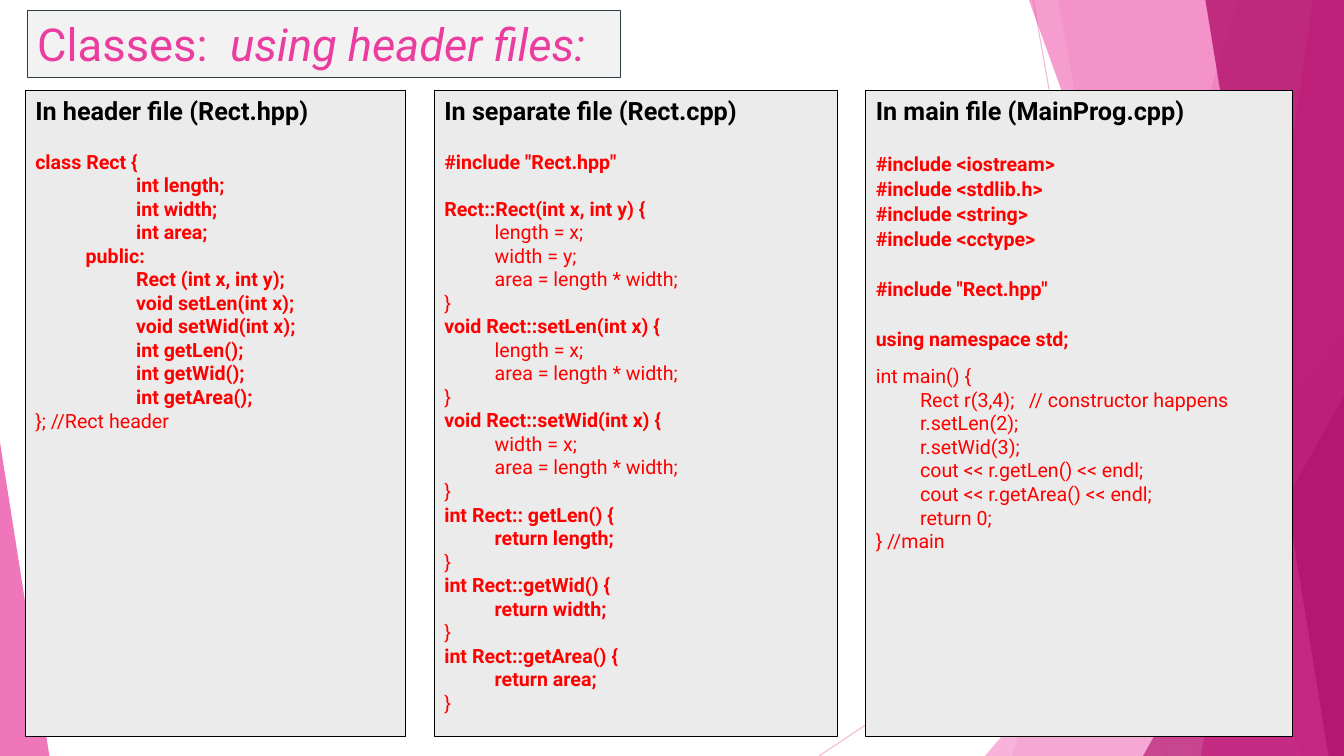
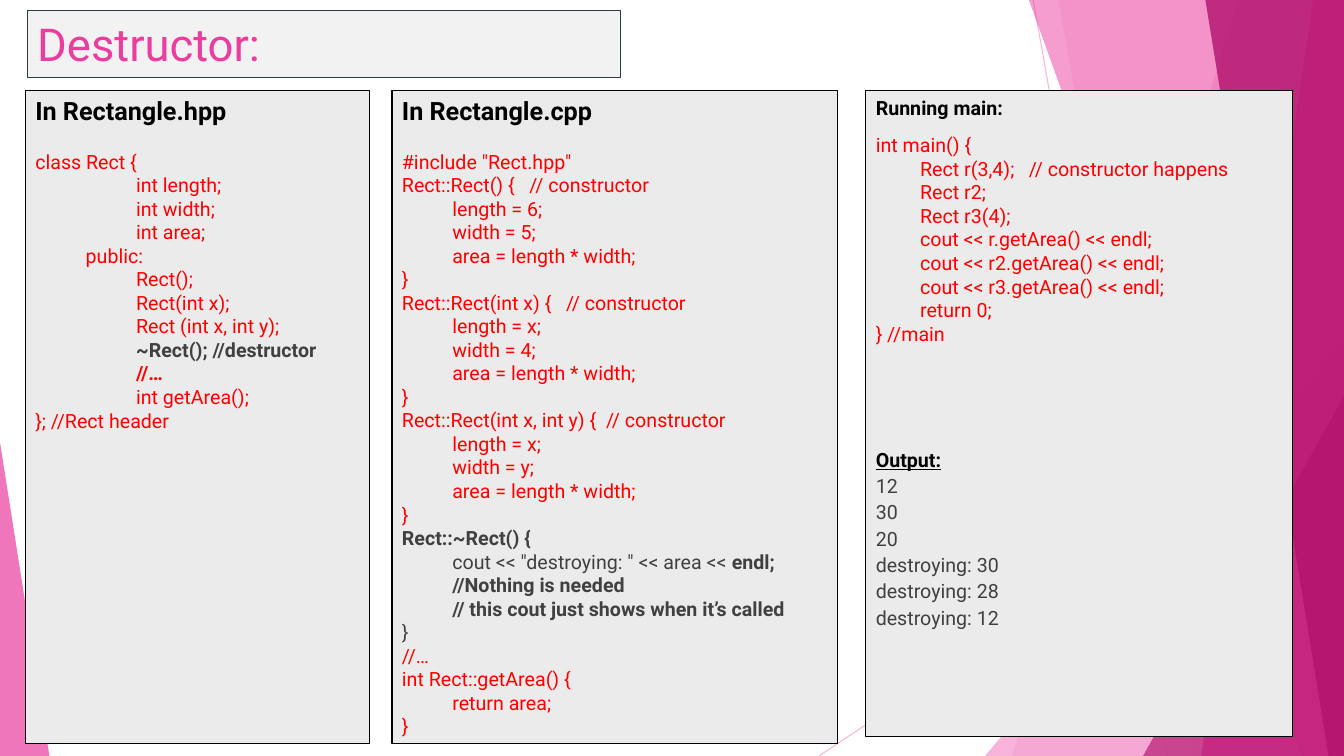
from dataclasses import dataclass, replace

from lxml import etree
from pptx import Presentation
from pptx.dml.color import RGBColor
from pptx.enum import shapes, text
from pptx.oxml import ns
from pptx.util import Pt


@dataclass(frozen=True)
class Theme:
    font: str = "Roboto"
    title_size: float = 32.4
    heading_size: float = 18
    code_size: float = 14
    blank_line: float = 16.8
    tab: float = 36
    nested: float = 31.7
    rule: float = 0.75
    light_pink: str = "F496CB"
    pink: str = "EB3D9F"
    magenta: str = "B2136D"
    title_fill: str = "F2F2F2"
    title_line: str = "2C3C43"
    panel_fill: str = "EBEBEB"
    black: str = "000000"
    code: str = "FF0000"
    gray: str = "404040"


THEME = Theme()
WIDTH, HEIGHT = 960, 540
TITLE_BOX = (19.4, 7.2, 424, 48.2)
PANEL_TOP = 64.8


@dataclass(frozen=True)
class Line:
    text: str
    bold: bool = False
    color: str = THEME.code
    size: float = THEME.code_size
    before: float = 0
    underline: bool = False
    bold_tail: str = ""


@dataclass(frozen=True)
class Panel:
    left: float
    width: float
    height: float
    lines: list
    step: float = THEME.tab


def plain(*texts, before=0, spacing=0, **style):
    first, *rest = [Line(words, before=spacing, **style) for words in texts]
    return [replace(first, before=before or spacing), *rest]


def strong(*texts, **style):
    return plain(*texts, bold=True, **style)


def heading(words, size=THEME.heading_size):
    return strong(words, size=size, color=THEME.black)


def set_alpha(shape, percent):
    color = shape.element.find(".//" + ns.qn("a:srgbClr"))
    etree.SubElement(color, ns.qn("a:alpha"), val=str(percent * 1000))


def paint_facet(shape, color, alpha):
    shape.shadow.inherit = False
    shape.fill.solid()
    shape.fill.fore_color.rgb = RGBColor.from_string(color)
    shape.line.fill.background()
    set_alpha(shape, alpha)


def add_ray(group, *ends):
    ray = group.shapes.add_connector(shapes.MSO_CONNECTOR.STRAIGHT, *map(Pt, ends))
    ray.line.color.rgb = RGBColor.from_string(THEME.light_pink)
    ray.line.width = Pt(THEME.rule)
    set_alpha(ray, 70)
    etree.SubElement(ray.element.spPr, ns.qn("a:effectLst"))


def add_band(group, top_left, bottom_left, color, alpha):
    outline = group.shapes.build_freeform(Pt(top_left), 0)
    corners = [(WIDTH, 0), (WIDTH, HEIGHT), (bottom_left, HEIGHT)]
    outline.add_line_segments([(Pt(x), Pt(y)) for x, y in corners])
    paint_facet(outline.convert_to_shape(), color, alpha)


def add_corner(group, left, top, width, apex, color, alpha):
    corner = group.shapes.add_shape(
        shapes.MSO_SHAPE.ISOSCELES_TRIANGLE,
        Pt(left), Pt(top), Pt(width), Pt(HEIGHT - top))
    corner.adjustments[0] = apex
    paint_facet(corner, color, alpha)


def add_backdrop(slide, layout):
    group = slide.shapes.add_group_shape()
    add_ray(group, 738, 0, 834, HEIGHT)
    add_ray(group, WIDTH, 290, 585, HEIGHT)
    add_band(group, 884, 723, THEME.light_pink, 36)
    add_band(group, 756, 852, THEME.light_pink, 20)
    add_corner(group, 703.5, 240, 256.5, 1, THEME.light_pink, 72)
    add_band(group, 735, 929.5, THEME.pink, 50)
    add_band(group, 938, 858, THEME.pink, 70)
    add_band(group, 861, 949, THEME.magenta, 80)
    add_corner(group, 816.5, 283, 143.5, 1, THEME.magenta, 66)
    add_corner(group, 0, 316, 35.3, 0, THEME.pink, 70)
    for number, properties in enumerate(group.element.iter(ns.qn("p:cNvPr")), 100):
        properties.set("id", str(number))
    layout.shapes.element.append(group.element)


def frame_shape(shape, box, fill, line, anchor):
    shape.left, shape.top, shape.width, shape.height = map(Pt, box)
    shape.fill.solid()
    shape.fill.fore_color.rgb = RGBColor.from_string(fill)
    shape.line.color.rgb = RGBColor.from_string(line)
    shape.line.width = Pt(THEME.rule)
    frame = shape.text_frame
    frame.word_wrap = True
    frame.auto_size = text.MSO_AUTO_SIZE.NONE
    frame.vertical_anchor = anchor
    return frame


def style_font(font, size, color):
    font.name = THEME.font
    font.size = Pt(size)
    font.color.rgb = RGBColor.from_string(color)


def fill_title(shape, words, italic_words):
    frame = frame_shape(shape, TITLE_BOX, THEME.title_fill, THEME.title_line,
                        text.MSO_ANCHOR.MIDDLE)
    paragraph = frame.paragraphs[0]
    paragraph.alignment = text.PP_ALIGN.LEFT
    style_font(paragraph.font, THEME.title_size, THEME.pink)
    paragraph.add_run().text = words
    if italic_words:
        run = paragraph.add_run()
        run.text = italic_words
        run.font.italic = True


def write_line(paragraph, line, step):
    words = line.text.lstrip("\t")
    level = len(line.text) - len(words)
    paragraph.alignment = text.PP_ALIGN.LEFT
    paragraph.space_before = Pt(line.before)
    paragraph.space_after = Pt(0)
    properties = paragraph._p.get_or_add_pPr()
    properties.set("marL", str(Pt(level * step)))
    properties.set("indent", "0")
    etree.SubElement(properties, ns.qn("a:buNone"))
    style_font(paragraph.font, line.size, line.color)
    paragraph.font.bold = line.bold
    paragraph.font.underline = line.underline
    paragraph.add_run().text = words
    if line.bold_tail:
        run = paragraph.add_run()
        run.text = line.bold_tail
        run.font.bold = True


def fill_panel(shape, panel):
    box = (panel.left, PANEL_TOP, panel.width, panel.height)
    frame = frame_shape(shape, box, THEME.panel_fill, THEME.black, text.MSO_ANCHOR.TOP)
    for index, line in enumerate(panel.lines):
        paragraph = frame.add_paragraph() if index else frame.paragraphs[0]
        write_line(paragraph, line, panel.step)


def add_code_slide(presentation, layout, title, panels, italic_title=""):
    slide = presentation.slides.add_slide(layout)
    fill_title(slide.shapes.title, title, italic_title)
    fill_panel(slide.placeholders[1], panels[0])
    for panel in panels[1:]:
        fill_panel(slide.shapes.add_textbox(0, 0, Pt(panel.width), Pt(panel.height)), panel)
    return slide


BLANK = THEME.blank_line
SPACED_BLANK = BLANK + 2
MEMBERS = ("class Rect {", "\t\tint length;", "\t\tint width;", "\t\tint area;", "\tpublic:")
AREA = "\tarea = length * width;"
MAIN_START = plain("int main() {", "\tRect r(3,4);   // constructor happens", before=10)
MAIN_END = plain("\treturn 0;", "} //main")


def getter(signature, field):
    return strong(signature, f"\treturn {field};") + plain("}")


def constructor(signature, length, width):
    return plain(signature, f"\tlength = {length};", f"\twidth = {width};", AREA, "}")


header_file = (
    heading("In header file (Rect.hpp)")
    + strong(*MEMBERS, "\t\tRect (int x, int y);", "\t\tvoid setLen(int x);",
             "\t\tvoid setWid(int x);", "\t\tint getLen();", "\t\tint getWid();",
             "\t\tint getArea();", before=BLANK)
    + plain("}; //Rect header"))

class_file = (
    heading("In separate file (Rect.cpp)")
    + strong('#include "Rect.hpp"', before=BLANK)
    + strong("Rect::Rect(int x, int y) {", before=BLANK)
    + plain("\tlength = x;", "\twidth = y;", AREA, "}")
    + strong("void Rect::setLen(int x) {")
    + plain("\tlength = x;", AREA, "}")
    + strong("void Rect::setWid(int x) {")
    + plain("\twidth = x;", AREA, "}")
    + getter("int Rect:: getLen() {", "length")
    + getter("int Rect::getWid() {", "width")
    + getter("int Rect::getArea() {", "area"))

main_file = (
    heading("In main file (MainProg.cpp)")
    + strong("#include <iostream>", "#include <stdlib.h>", "#include <string>",
             "#include <cctype>", before=SPACED_BLANK, spacing=1)
    + strong('#include "Rect.hpp"', before=SPACED_BLANK)
    + strong("using namespace std;", before=SPACED_BLANK)
    + MAIN_START
    + plain("\tr.setLen(2);", "\tr.setWid(3);", "\tcout << r.getLen() << endl;",
            "\tcout << r.getArea() << endl;")
    + MAIN_END)

destructor_header = (
    heading("In Rectangle.hpp")
    + plain(*MEMBERS, "\t\tRect();", "\t\tRect(int x);", "\t\tRect (int x, int y);",
            before=BLANK)
    + strong("\t\t~Rect(); //destructor", color=THEME.gray)
    + strong("\t\t//…")
    + plain("\t\tint getArea();", "}; //Rect header"))

destructor_class = (
    heading("In Rectangle.cpp")
    + plain('#include "Rect.hpp"', before=BLANK)
    + constructor("Rect::Rect() {   // constructor", 6, 5)
    + constructor("Rect::Rect(int x) {   // constructor", "x", 4)
    + constructor("Rect::Rect(int x, int y) {  // constructor", "x", "y")
    + strong("Rect::~Rect() {", color=THEME.gray)
    + plain('\tcout << "destroying: " << area << ', color=THEME.gray, bold_tail="endl;")
    + strong("\t//Nothing is needed", "\t// this cout just shows when it’s called",
             color=THEME.gray)
    + plain("}", color=THEME.gray)
    + plain("//…", "int Rect::getArea() {", "\treturn area;", "}"))

destructor_main = (
    heading("Running main:", THEME.code_size)
    + MAIN_START
    + plain("\tRect r2;", "\tRect r3(4);", "\tcout << r.getArea() << endl;",
            "\tcout << r2.getArea() << endl;", "\tcout << r3.getArea() << endl;")
    + MAIN_END
    + strong("Output:", color=THEME.black, underline=True, before=4 * BLANK + 6)
    + plain("12", "30", "20", "destroying: 30", "destroying: 28", "destroying: 12",
            color=THEME.gray, spacing=2))

presentation = Presentation()
presentation.slide_width, presentation.slide_height = Pt(WIDTH), Pt(HEIGHT)
code_layout = presentation.slide_layouts[1]

header_slide = add_code_slide(presentation, code_layout, "Classes:  ", [
    Panel(18, 272, 461.5, header_file),
    Panel(310.3, 288, 461.5, class_file),
    Panel(618.5, 304.5, 461.5, main_file, THEME.nested),
], "using header files:")
add_backdrop(header_slide, code_layout)

add_code_slide(presentation, code_layout, "Destructor:", [
    Panel(18, 246.2, 466.6, destructor_header),
    Panel(280, 318.2, 466.6, destructor_class),
    Panel(618.5, 304.5, 461.5, destructor_main, THEME.nested),
])

presentation.save("out.pptx")
